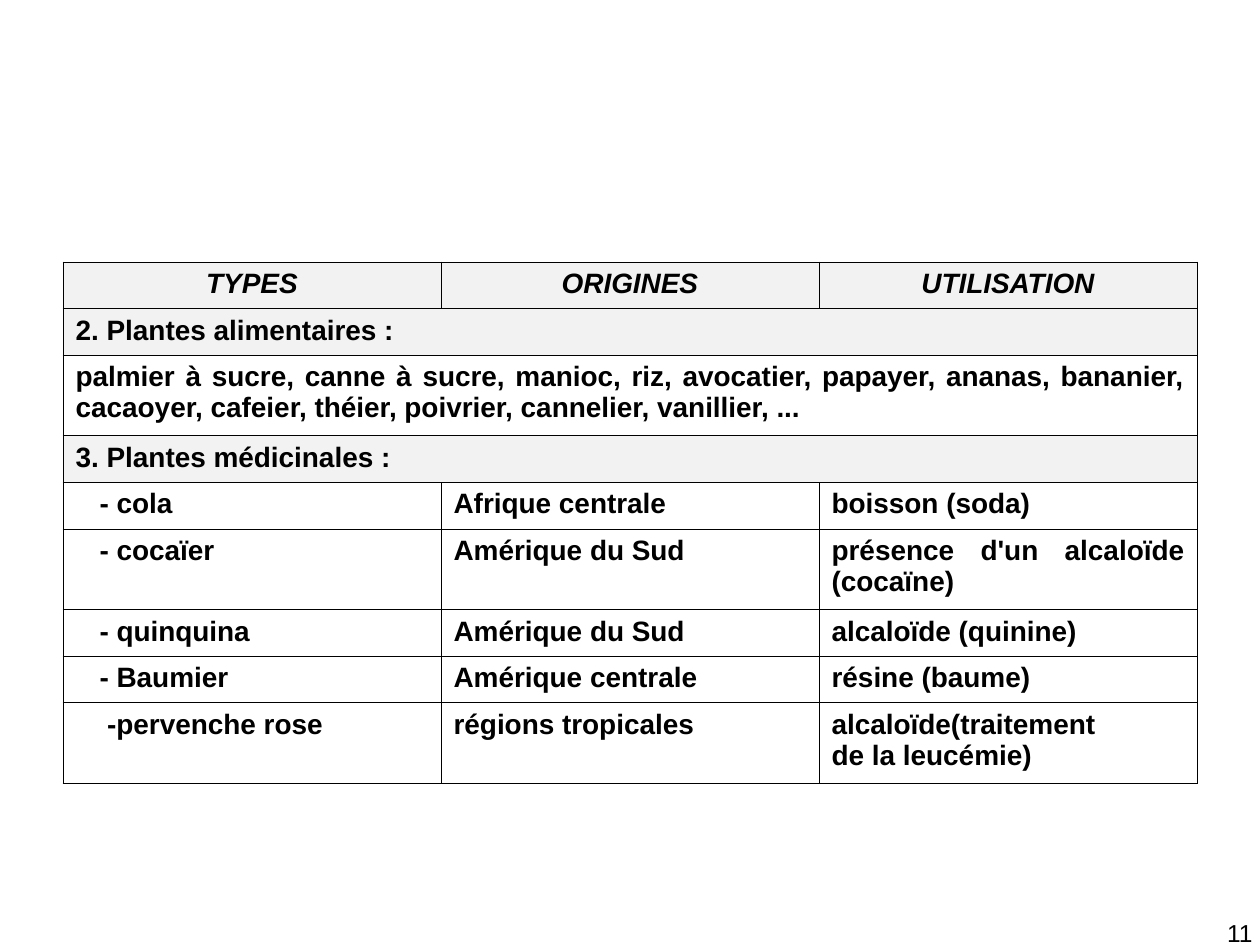
from dataclasses import dataclass

from lxml.etree import SubElement
from pptx import Presentation
from pptx.dml.color import RGBColor
from pptx.enum.text import PP_ALIGN as Align
from pptx.oxml.ns import qn
from pptx.util import Inches, Pt


@dataclass(frozen=True)
class Theme:
    font: str = "Arial"
    ink: str = "000000"
    paper: str = "FFFFFF"
    shade: str = "F2F2F2"
    table_size: int = 16
    number_size: int = 14
    border: float = 0.45


@dataclass(frozen=True)
class Row:
    """One table row; a single text spans all columns."""
    texts: tuple[str, ...]
    height: float = 0.37
    shaded: bool = False
    header: bool = False
    indent: float = 0


THEME = Theme()
TALL = 0.64
INDENT = 0.19
COLUMN_WIDTHS = (3, 3, 3)
ROWS = (
    Row(("TYPES", "ORIGINES", "UTILISATION"), shaded=True, header=True),
    Row(("2. Plantes alimentaires :",), shaded=True),
    Row(("palmier à sucre, canne à sucre, manioc, riz, avocatier, papayer, "
         "ananas, bananier, cacaoyer, cafeier, théier, poivrier, cannelier, "
         "vanillier, ...",), TALL),
    Row(("3. Plantes médicinales :",), shaded=True),
    Row(("- cola", "Afrique centrale", "boisson (soda)"), indent=INDENT),
    Row(("- cocaïer", "Amérique du Sud", "présence d'un alcaloïde (cocaïne)"),
        TALL, indent=INDENT),
    Row(("- quinquina", "Amérique du Sud", "alcaloïde (quinine)"), indent=INDENT),
    Row(("- Baumier", "Amérique centrale", "résine (baume)"), indent=INDENT),
    Row(("-pervenche rose", "régions tropicales",
         "alcaloïde(traitement\nde la leucémie)"), TALL, indent=0.25),
)


def write_text(frame, text: str, size: int, align: Align,
               bold: bool = False, italic: bool = False) -> None:
    frame.text = text
    for para in frame.paragraphs:
        para.alignment = align
        for span in para.runs:
            font = span.font
            font.name, font.size = THEME.font, Pt(size)
            font.bold, font.italic = bold, italic
            font.color.rgb = RGBColor.from_string(THEME.ink)


def style_cell(cell, shaded: bool) -> None:
    """Draw the four borders, then the fill, as the schema orders them."""
    properties = cell._tc.get_or_add_tcPr()
    for side in ("lnL", "lnR", "lnT", "lnB"):
        line = SubElement(properties, qn(f"a:{side}"), w=str(Pt(THEME.border)))
        SubElement(SubElement(line, qn("a:solidFill")), qn("a:srgbClr"), val=THEME.ink)
    cell.fill.solid()
    cell.fill.fore_color.rgb = RGBColor.from_string(THEME.shade if shaded else THEME.paper)


def add_plant_table(page) -> None:
    table = page.shapes.add_table(
        len(ROWS), len(COLUMN_WIDTHS), Inches(0.5), Inches(2.08),
        Inches(sum(COLUMN_WIDTHS)), Inches(sum(row.height for row in ROWS))).table
    table.first_row = table.horz_banding = False
    for column, width in zip(table.columns, COLUMN_WIDTHS):
        column.width = Inches(width)
    for index, row in enumerate(ROWS):
        table.rows[index].height = Inches(row.height)
        cells = list(table.rows[index].cells)
        for cell in cells:
            style_cell(cell, row.shaded)
        if len(row.texts) == 1:
            cells[0].merge(cells[-1])
        align = Align.CENTER if row.header else Align.JUSTIFY
        for cell, text in zip(cells, row.texts):
            write_text(cell.text_frame, text, THEME.table_size, align, True, row.header)
        if row.indent:
            first = cells[0].text_frame.paragraphs[0]
            first._p.get_or_add_pPr().set("marL", str(Inches(row.indent)))


def add_page_number(page, number: int) -> None:
    box = page.shapes.add_textbox(Inches(7.71), Inches(7.24), Inches(2.33), Inches(0.52))
    box.text_frame.word_wrap = True
    write_text(box.text_frame, str(number), THEME.number_size, Align.RIGHT)


def main() -> None:
    deck = Presentation()
    deck.slide_width, deck.slide_height = Inches(10), Inches(7.5)
    page = deck.slides.add_slide(deck.slide_layouts.get_by_name("Blank"))
    add_page_number(page, 11)
    add_plant_table(page)
    deck.save("out.pptx")


if __name__ == "__main__":
    main()
